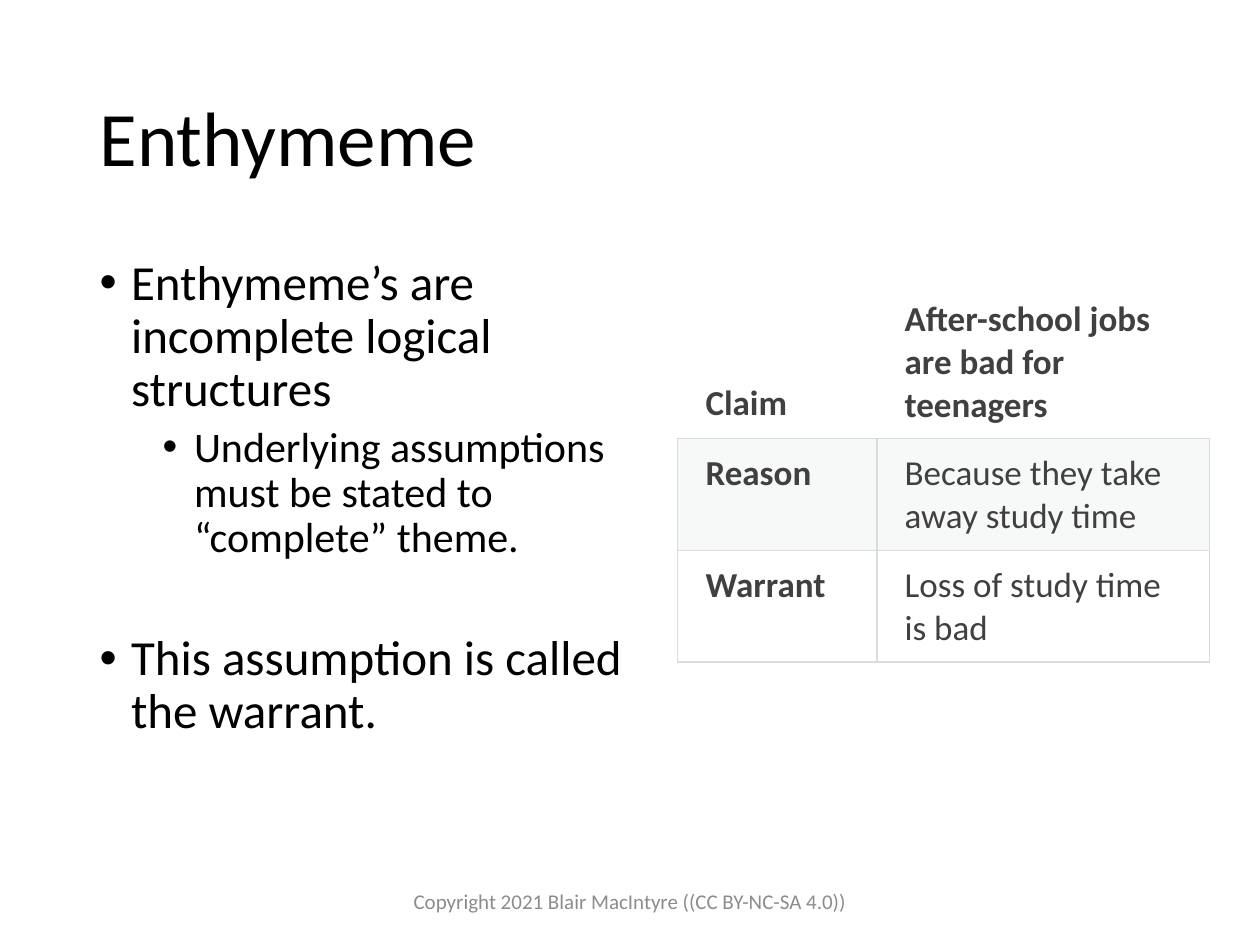
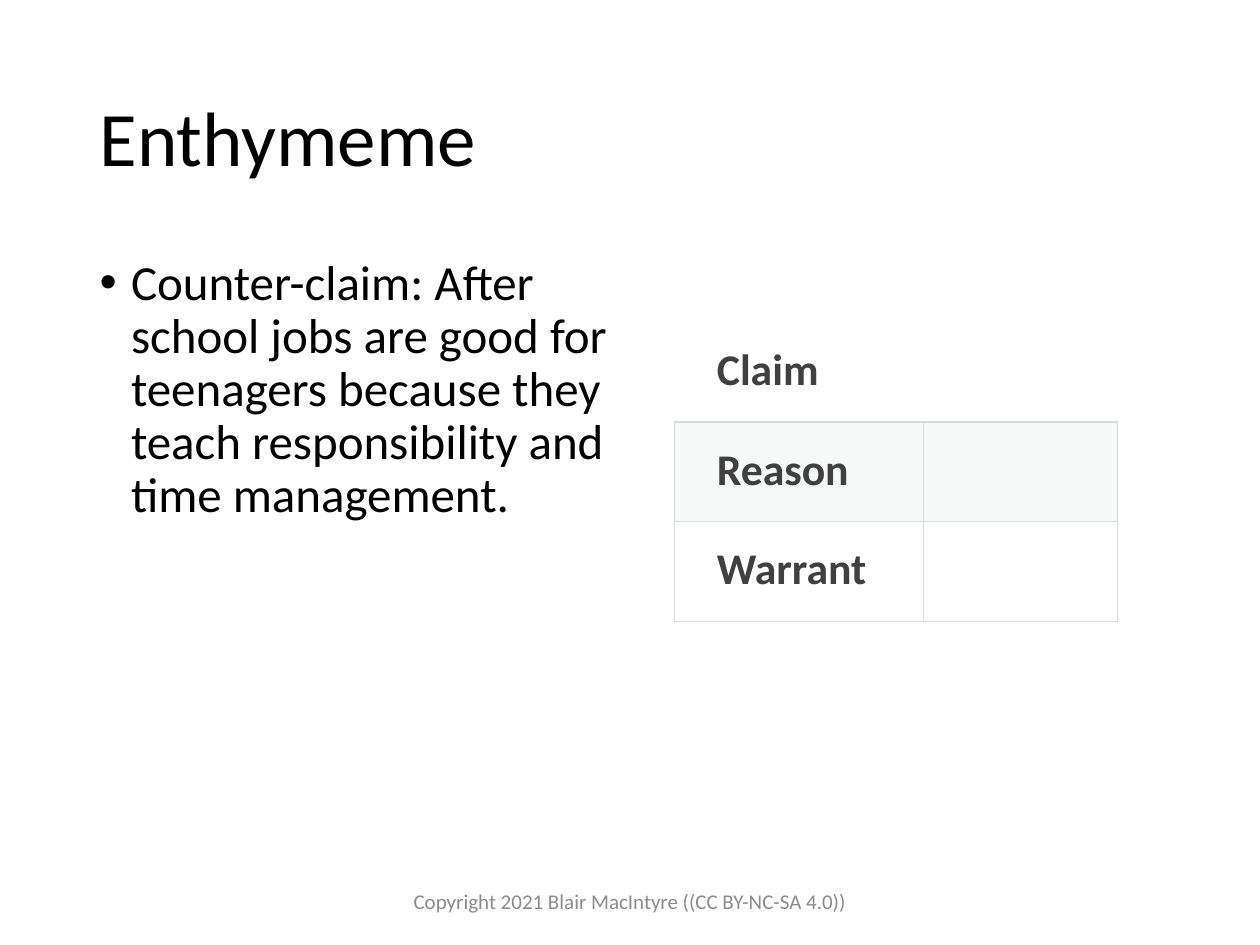
from pptx import Presentation
from pptx.util import Inches, Pt
from pptx.dml.color import RGBColor as RGB
from pptx.enum.text import PP_ALIGN as Align, MSO_ANCHOR as Anchor, MSO_AUTO_SIZE as Auto
from pptx.oxml import parse_xml
from pptx.oxml.ns import nsdecls

HUES = {"ink": "000000", "cell": "404040", "foot": "8C8C8C",
        "band": "D8DEDC", "rule": "D8DCDC"}
FACE = "Calibri"
PLAIN = "{2D5ABB26-0587-4C30-8999-92F81FD0307C}"
LEFT = 0.69
NOTE = "Copyright 2021 Blair MacIntyre ((CC BY-NC-SA 4.0))"


def write(para, text, size, hue, bold=False):
    run = para.add_run()
    run.text = text
    font = run.font
    font.name, font.size, font.bold = FACE, Pt(size), bold
    font.color.rgb = RGB.from_string(HUES[hue])


def edge(cell, side, hue):
    cell._tc.get_or_add_tcPr().append(parse_xml(
        f'<a:{side} {nsdecls("a")} w="9525"><a:solidFill>'
        f'<a:srgbClr val="{HUES[hue]}"/></a:solidFill></a:{side}>'))


pages = [
    {
        "wide": 4.55,
        "list": [
            (0, 0, "Enthymeme’s are incomplete logical structures"),
            (1, 5, "Underlying assumptions must be stated to “complete” theme."),
            (0, 41, "This assumption is called the warrant."),
        ],
        "at": (5.38, 2.26, 4.22, 2.99),
        "cols": (1.58, 2.64),
        "rows": (1.08, 0.8, 0.8),
        "size": 20,
        "pads": [(0.22, 0.11, 0.42, 0.11)] + [(0.22, 0.11, 0.36, 0.11)] * 2,
        "head": Anchor.BOTTOM,
        "cells": [
            ("Claim", "After-school jobs are bad for teenagers"),
            ("Reason", "Because they take away study time"),
            ("Warrant", "Loss of study time is bad"),
        ],
    },
    {
        "wide": 4.66,
        "list": [
            (0, 0, "Counter-claim: After school jobs are good for teenagers "
                   "because they teach responsibility and time management."),
        ],
        "at": (5.35, 2.56, 3.52, 2.37),
        "cols": (1.98, 1.54),
        "rows": (0.79,) * 3,
        "size": 25,
        "pads": [(0.34, 0.17, 0.17, 0.17)] * 3,
        "head": Anchor.TOP,
        "cells": [("Claim", ""), ("Reason", ""), ("Warrant", "")],
    },
]

deck = Presentation()
deck.slide_width, deck.slide_height = Inches(10), Inches(7.5)

for page in pages:
    slide = deck.slides.add_slide(deck.slide_layouts[1])
    title, body = slide.shapes.title, slide.placeholders[1]
    foot = slide.shapes.add_textbox(Inches(3.08), Inches(6.95), Inches(3.84), Inches(0.4))
    for shape, spot in ((title, (LEFT, 0.4, 8.62, 1.45)),
                        (body, (LEFT, 2, page["wide"], 4.76))):
        shape.left, shape.top, shape.width, shape.height = map(Inches, spot)
        shape.text_frame.auto_size = Auto.NONE

    title.text_frame.vertical_anchor = Anchor.MIDDLE
    para = title.text_frame.paragraphs[0]
    para.alignment, para.line_spacing = Align.LEFT, 0.9
    write(para, "Enthymeme", 44, "ink")

    frame = body.text_frame
    for n, (level, gap, text) in enumerate(page["list"]):
        para = frame.add_paragraph() if n else frame.paragraphs[0]
        para.level = level
        props = para._p.get_or_add_pPr()
        props.set("marL", str(Inches(0.25 + 0.5 * level)))
        props.set("indent", str(Inches(-0.25)))
        props.append(parse_xml(f'<a:buFont {nsdecls("a")} typeface="Arial"/>'))
        props.append(parse_xml(f'<a:buChar {nsdecls("a")} char="•"/>'))
        para.line_spacing, para.space_before = 0.9, Pt(gap)
        write(para, text, 28 - 4 * level, "ink")

    holder = slide.shapes.add_table(3, 2, *map(Inches, page["at"]))
    table = holder.table
    table.first_row = table.horz_banding = False
    table._tbl.tblPr.find("{*}tableStyleId").text = PLAIN
    for col, wide in zip(table.columns, page["cols"]):
        col.width = Inches(wide)
    for row, high in zip(table.rows, page["rows"]):
        row.height = Inches(high)
    holder.height = Inches(page["at"][3])

    for r, texts in enumerate(page["cells"]):
        for c, text in enumerate(texts):
            cell = table.cell(r, c)
            pads = map(Inches, page["pads"][r])
            cell.margin_left, cell.margin_top, cell.margin_right, cell.margin_bottom = pads
            cell.vertical_anchor = Anchor.TOP if r else page["head"]
            if text:
                write(cell.text_frame.paragraphs[0], text, page["size"], "cell", r == 0 or c == 0)
            for side in ("lnL", "lnR", "lnT", "lnB") if r else ("lnB",):
                edge(cell, side, "band" if r == 2 and side != "lnT" else "rule")
            if r == 1:
                cell.fill.solid()
                cell.fill.fore_color.rgb = RGB.from_string(HUES["band"])
                tint = cell._tc.tcPr.find("{*}solidFill/{*}srgbClr")
                tint.append(parse_xml(f'<a:alpha {nsdecls("a")} val="20000"/>'))
            else:
                cell.fill.background()

    foot.text_frame.word_wrap = True
    foot.text_frame.vertical_anchor = Anchor.MIDDLE
    para = foot.text_frame.paragraphs[0]
    para.alignment = Align.CENTER
    write(para, NOTE, 12, "foot")

deck.save("out.pptx")
